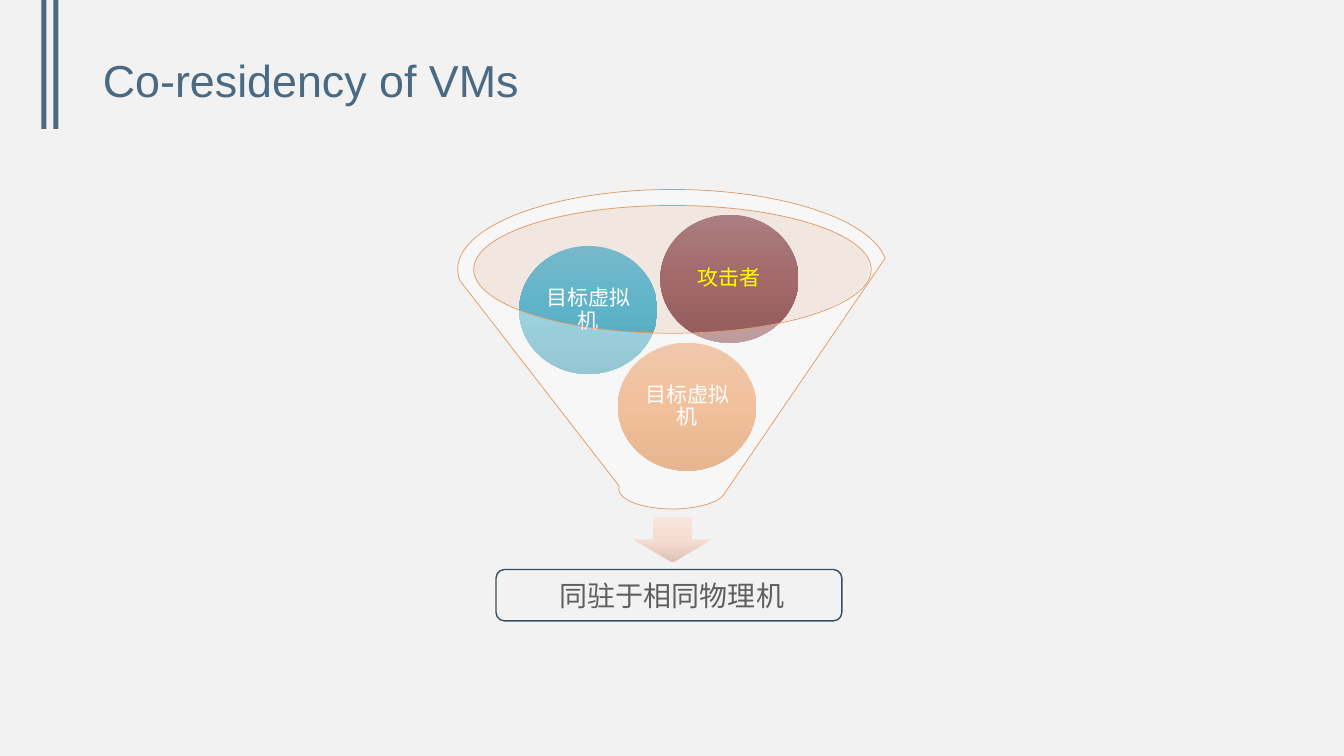
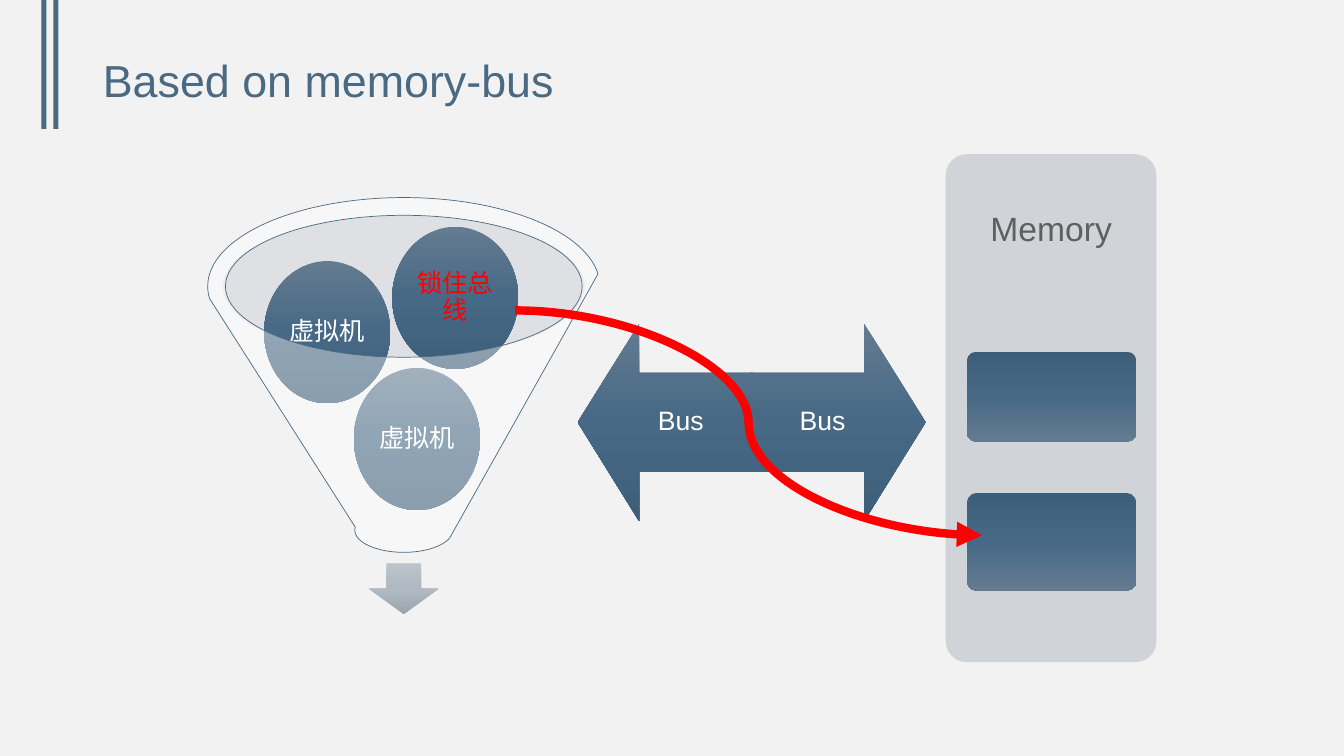
"""Builds two slides on attacks between virtual machines that share a host."""
from lxml import etree
from pptx import Presentation
from pptx.dml.color import RGBColor
from pptx.enum.shapes import MSO_CONNECTOR, MSO_SHAPE
from pptx.enum.text import MSO_ANCHOR, PP_ALIGN
from pptx.oxml.ns import qn
from pptx.util import Pt

RECT = MSO_SHAPE.RECTANGLE
ROUND = MSO_SHAPE.ROUNDED_RECTANGLE
OVAL = MSO_SHAPE.OVAL
DOWN = MSO_SHAPE.DOWN_ARROW
LEFT = MSO_SHAPE.LEFT_ARROW
RIGHT = MSO_SHAPE.RIGHT_ARROW
FUNNEL = MSO_SHAPE.FUNNEL
CURVE = MSO_CONNECTOR.CURVE
MIDDLE = MSO_ANCHOR.MIDDLE
CENTER = PP_ALIGN.CENTER
START = PP_ALIGN.LEFT

PX = 9144
FONT = "Arial"
BLUE, PAPER, GREY = "4A6982", "F2F2F2", "5F5F5F"
WHITE, YELLOW, RED = "FFFFFF", "FFFF00", "FF0000"
STEEL = ["647B91", "476985", "3D5E78"]
ORANGE = ["E7A475", "E8975A", "D68548"]
TEAL = ["77B9CB", "5EB3C9", "4EA2B8"]
WINE = ["AA7E7F", "A3696B", "935B5C"]
hue = RGBColor.from_string


def draw(slide, kind, box, fill=None, line=None, width=0.5, alpha=100):
    """Add a shape whose fill is none, one colour or a list from top to bottom."""
    shape = slide.shapes.add_shape(kind, *[n * PX for n in box])
    shape.shadow.inherit = False
    if fill is None:
        shape.fill.background()
    elif isinstance(fill, list):
        shape.fill.gradient()
        shape.fill.gradient_angle = 270
        stops = shape.element.spPr.find(".//" + qn("a:gsLst"))
        for old in list(stops):
            stops.remove(old)
        for i, tone in enumerate(fill):
            stop = etree.SubElement(stops, qn("a:gs"), pos=str(i * 100000 // (len(fill) - 1)))
            etree.SubElement(stop, qn("a:srgbClr"), val=tone)
    else:
        shape.fill.solid()
        shape.fill.fore_color.rgb = hue(fill)
        if alpha < 100:
            tone = shape.element.spPr.find(".//" + qn("a:srgbClr"))
            etree.SubElement(tone, qn("a:alpha"), val=str(alpha * 1000))
    if line:
        shape.line.color.rgb = hue(line)
        shape.line.width = Pt(width)
    else:
        shape.line.fill.background()
    return shape


def write(shape, text, size, tone, inset, align=CENTER):
    """Set the text of a shape as one formatted paragraph."""
    frame = shape.text_frame
    frame.word_wrap = True
    frame.vertical_anchor = MIDDLE
    frame.margin_left = frame.margin_right = inset * PX
    frame.margin_top = frame.margin_bottom = inset * PX
    frame.text = text
    para = frame.paragraphs[0]
    para.alignment = align
    para.line_spacing = 0.9
    para.font.name = FONT
    para.font.size = Pt(size)
    para.font.color.rgb = hue(tone)


deck = Presentation()
deck.slide_width, deck.slide_height = 1333 * PX, 750 * PX
master = deck.slide_master
master.background.fill.solid()
master.background.fill.fore_color.rgb = hue(PAPER)
layout = deck.slide_layouts[5]
head = layout.placeholders[0]
head.left, head.top, head.width, head.height = [n * PX for n in (92, 43, 1150, 79)]

pages = [
    dict(title="Co-residency of VMs", rim=(470, 203, 392, 127), glaze="F1D4C5",
         arrow=(629, 513, 76, 45), fade=["F7E4DC", "F6DDD1", "DDC3B6"],
         cone=(454, 188, 426, 317), edge="E29860", ball=(137, 127), size=15, inset=2,
         balls=[(613, 340, ORANGE, "目标虚拟机", WHITE),
                (515, 244, TEAL, "目标虚拟机", WHITE),
                (655, 213, WINE, "攻击者", YELLOW)]),
    dict(title="Based on memory-bus", rim=(221, 214, 359, 141), glaze="C1C7CD",
         arrow=(366, 559, 69, 50), fade=["BBC2C9", "B1B9C2", "9CA4AD"],
         cone=(206, 196, 389, 352), edge=BLUE, ball=(125, 141), size=18, inset=3,
         balls=[(351, 365, STEEL, "虚拟机", WHITE),
                (262, 259, STEEL, "虚拟机", WHITE),
                (389, 225, STEEL, "锁住总线", RED)]),
]

slides = []
for page in pages:
    slide = deck.slides.add_slide(layout)
    slides.append(slide)
    write(slide.shapes.title, page["title"], 32, BLUE, 10, START)
    draw(slide, OVAL, page["rim"], page["glaze"], alpha=40)
    draw(slide, DOWN, page["arrow"], page["fade"])
    for left, top, fill, text, tone in page["balls"]:
        ball = draw(slide, OVAL, (left, top, *page["ball"]), fill)
        write(ball, text, page["size"], tone, page["inset"])
    draw(slide, FUNNEL, page["cone"], WHITE, page["edge"], alpha=40)

host, bus = slides
for i, left in enumerate((41, 53)):
    bar = draw(host, RECT, (left, 0, 5, 128), BLUE)
    bar.element.nvSpPr.cNvPr.set("id", str(90 + i))
    master.shapes.element.append(bar.element)

result = draw(host, ROUND, (492, 565, 343, 51), line="374E60", width=1)
write(result, "同驻于相同物理机", 20, GREY, 0)
result.text_frame.margin_left = 6 * PX
result.text_frame.margin_top = 4 * PX

for kind, left in ((LEFT, 573), (RIGHT, 744)):
    arrow = draw(bus, kind, (left, 321, 174, 196), STEEL)
    arrow.adjustments[1] = 0.35
    write(arrow, "Bus", 19, WHITE, 15)

panel = draw(bus, ROUND, (938, 153, 209, 504), "D0D4D8")
panel.adjustments[0] = 0.1
label = bus.shapes.add_textbox(*[n * PX for n in (938, 153, 209, 151)])
write(label, "Memory", 24, GREY, 10)
for top, height in ((349, 89), (489, 97)):
    block = draw(bus, ROUND, (959, top, 168, height), STEEL[::-1])
    block.adjustments[0] = 0.1

lock = bus.shapes.add_connector(CURVE, *[n * PX for n in (511, 308, 974, 531)])
lock.line.color.rgb = hue(RED)
lock.line.width = Pt(6)
etree.SubElement(lock.line._get_or_add_ln(), qn("a:tailEnd"), type="triangle")
etree.SubElement(lock.element.spPr, qn("a:effectLst"))

deck.save("out.pptx")
